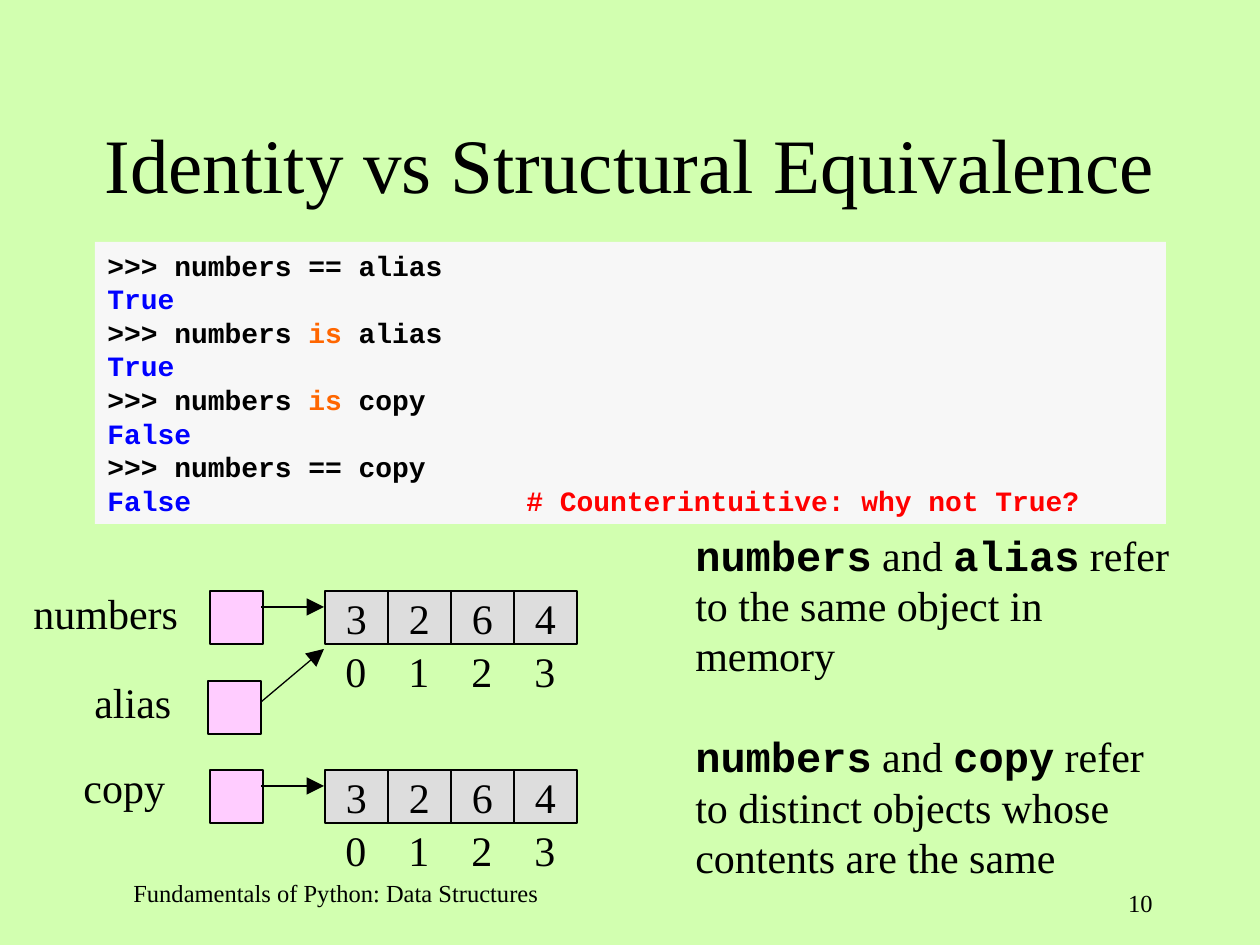
from lxml.etree import SubElement
from pptx import Presentation
from pptx.dml.color import RGBColor
from pptx.enum.shapes import MSO_CONNECTOR, MSO_SHAPE
from pptx.enum.text import MSO_ANCHOR, PP_ALIGN
from pptx.oxml.ns import qn
from pptx.util import Emu, Pt

SCALE = 914400 // 126
COLORS = {
    "page": "D2FFB0", "panel": "F7F7F7", "ref": "FFCCFF", "cell": "DDDDDD",
    "text": "000000", "value": "0000FF", "word": "FF6600", "note": "FF0000",
}
SERIF, MONO = "Times New Roman", "Courier New"
LEFT, MID, RIGHT = PP_ALIGN.LEFT, PP_ALIGN.CENTER, PP_ALIGN.RIGHT


def px(*nums):
    return [Emu(round(n * SCALE)) for n in nums]


def rgb(name):
    return RGBColor.from_string(COLORS[name])


class Board:
    """Holds the style and the current slide."""

    def __init__(self, slide):
        self.slide = slide
        self.shapes = slide.shapes
        fill = slide.background.fill
        fill.solid()
        fill.fore_color.rgb = rgb("page")

    def put(self, frame, paras, size, align=LEFT, gap=0, line=1.2):
        """Each paragraph is a list of (text, font, colour) runs."""
        for i, runs in enumerate(paras):
            para = frame.add_paragraph() if i else frame.paragraphs[0]
            para.alignment = align
            para.line_spacing = Pt(size * line)
            para.space_before = Pt(gap if i else 0)
            for text, face, color in runs:
                run = para.add_run()
                run.text = text
                font = run.font
                font.name, font.size = face, Pt(size)
                font.bold = face == MONO
                font.color.rgb = rgb(color)

    def title(self, text, *box):
        shape = self.shapes.title
        shape.left, shape.top, shape.width, shape.height = px(*box)
        shape.text_frame.vertical_anchor = MSO_ANCHOR.MIDDLE
        self.put(shape.text_frame, [[(text, SERIF, "text")]], 44, MID)

    def text(self, paras, box, size=24, align=LEFT, gap=0, wrap=True):
        frame = self.shapes.add_textbox(*px(*box)).text_frame
        frame.word_wrap = wrap
        self.put(frame, paras, size, align, gap)
        return frame

    def label(self, text, box, size=24, align=LEFT, wrap=True):
        return self.text([[(text, SERIF, "text")]], box, size, align, wrap=wrap)

    def rect(self, color, *box, edge=True):
        shape = self.shapes.add_shape(MSO_SHAPE.RECTANGLE, *px(*box))
        shape.shadow.inherit = False
        shape.fill.solid()
        shape.fill.fore_color.rgb = rgb(color)
        if edge:
            shape.line.color.rgb = rgb("text")
            shape.line.width = Pt(0.75)
        else:
            shape.line.fill.background()
        return shape

    def code(self, lines, *box):
        frame = self.rect("panel", *box, edge=False).text_frame
        frame.vertical_anchor = MSO_ANCHOR.TOP
        frame.word_wrap = True
        paras = [[(text, MONO, color) for text, color in line] for line in lines]
        self.put(frame, paras, 16)

    def array(self, values, left, top, wide=63, high=53):
        """Draws a row of cells with the indexes below."""
        for i, value in enumerate(values):
            frame = self.rect("cell", left + i * wide, top, wide, high).text_frame
            frame.vertical_anchor = MSO_ANCHOR.MIDDLE
            frame.word_wrap = False
            self.put(frame, [[(str(value), SERIF, "text")]], 24, MID)
        count = len(values)
        marks = "".join(f"\t{i}" for i in range(count))
        frame = self.label(marks, (left - 13, top + 48, count * wide + 26, 63))
        props = frame.paragraphs[0]._p.get_or_add_pPr()
        tabs = SubElement(props, qn("a:tabLst"))
        for i in range(count):
            stop = px(wide * i + wide / 2)[0]
            SubElement(tabs, qn("a:tab"), pos=str(stop), algn="ctr")

    def arrow(self, *ends):
        line = self.shapes.add_connector(MSO_CONNECTOR.STRAIGHT, *px(*ends))
        line.line.color.rgb = rgb("text")
        line.line.width = Pt(0.75)
        props = line._element.spPr
        SubElement(props.find(qn("a:ln")), qn("a:tailEnd"),
                   type="triangle", w="lg", len="lg")
        SubElement(props, qn("a:effectLst"))


def main():
    deck = Presentation()
    deck.slide_width, deck.slide_height = px(1260, 945)
    board = Board(deck.slides.add_slide(deck.slide_layouts[5]))
    board.title("Identity vs Structural Equivalence", 0, 84, 1260, 158)

    def test(word, name):
        return [(">>> numbers ", "text"),
                (word, "word" if word == "is" else "text"), (f" {name}", "text")]

    true, false = ("True", "value"), ("False", "value")
    last = [("False                    ", "value"),
            ("# Counterintuitive: why not True?", "note")]
    board.code([test("==", "alias"), [true], test("is", "alias"), [true],
                test("is", "copy"), [false], test("==", "copy"), last],
               95, 242, 1071, 282)

    # name, label box, reference box corner
    refs = [("numbers", (21, 581, 170, 63), (210, 591)),
            ("alias", (82, 670, 102, 63), (208, 681)),
            ("copy", (71, 755, 108, 63), (210, 770))]
    for name, box, (left, top) in refs:
        board.label(name, box, wrap=False)
        board.rect("ref", left, top, 53, 53)

    for top in (591, 770):
        board.array([3, 2, 6, 4], 325, top)
        board.arrow(261, top + 16, 324, top + 16)
    board.arrow(261, 702, 324, 649)

    def pair(name, rest):
        return [("numbers", MONO, "text"), (" and ", SERIF, "text"),
                (name, MONO, "text"), (f" refer {rest}", SERIF, "text")]

    board.text([pair("alias", "to the same object in memory"),
                pair("copy", "to distinct objects whose contents are the same")],
               (683, 523, 504, 365), gap=28.8)
    board.label("Fundamentals of Python: Data Structures",
                (105, 872, 462, 73), 14, MID)
    board.label("10", (903, 882, 262, 63), 14, RIGHT)
    deck.save("out.pptx")


if __name__ == "__main__":
    main()
